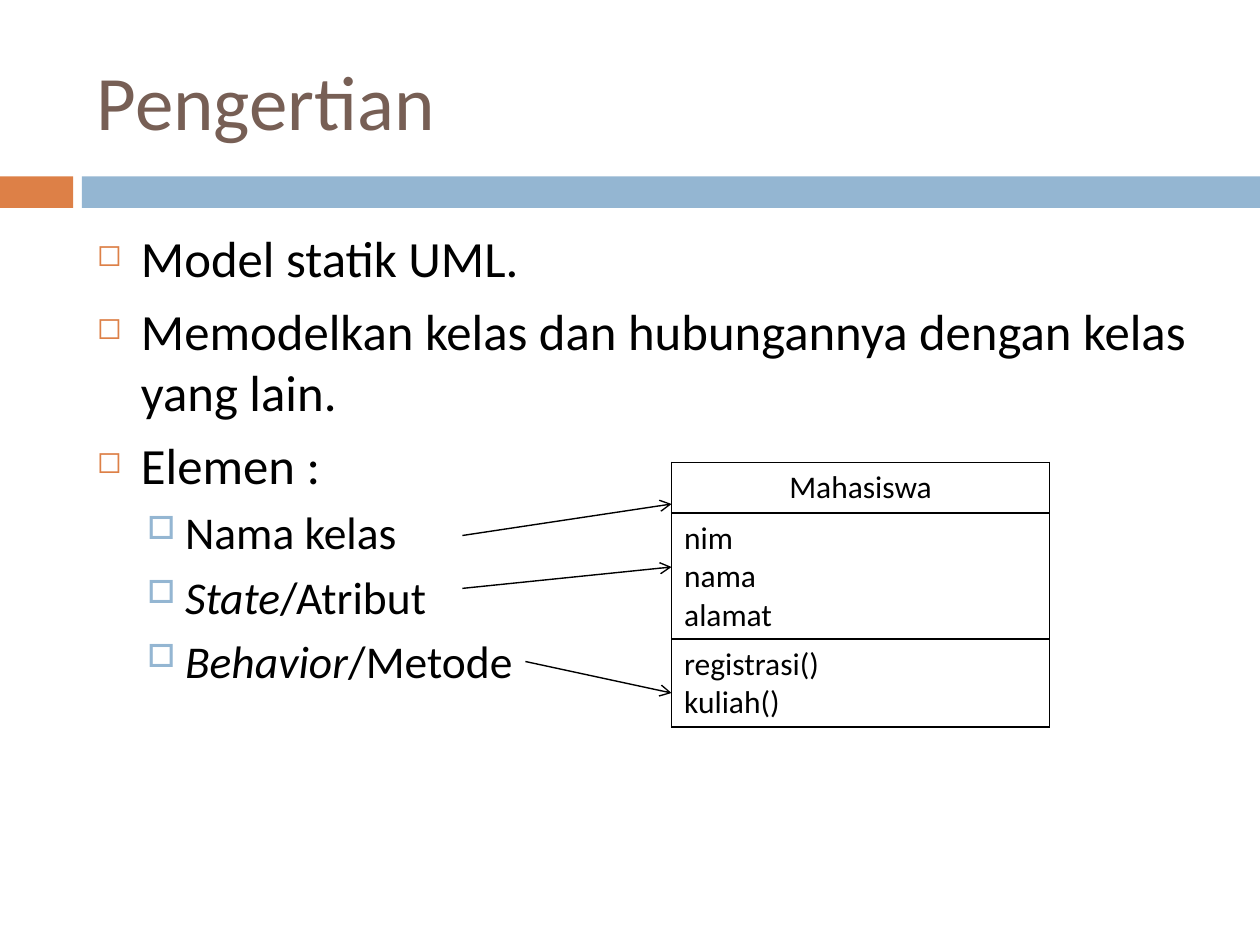
from lxml import etree
from pptx import Presentation
from pptx.dml.color import RGBColor
from pptx.enum.shapes import MSO_CONNECTOR, MSO_SHAPE
from pptx.enum.text import MSO_ANCHOR, PP_ALIGN
from pptx.oxml.ns import qn
from pptx.util import Inches, Pt

LINE, RECT = MSO_CONNECTOR.STRAIGHT, MSO_SHAPE.RECTANGLE
TOP, MIDDLE = MSO_ANCHOR.TOP, MSO_ANCHOR.MIDDLE
LEFT, CENTER = PP_ALIGN.LEFT, PP_ALIGN.CENTER
BLACK = RGBColor(0x00, 0x00, 0x00)
BROWN = RGBColor(0x77, 0x5F, 0x55)
ORANGE = RGBColor(0xDD, 0x80, 0x47)
BLUE = RGBColor(0x94, 0xB6, 0xD2)
FONT = "Calibri"

# Content: each point is (level, [(text, italic), ...])
TITLE = "Pengertian"
POINTS = [
    (0, [("Model statik UML.", False)]),
    (0, [("Memodelkan kelas dan hubungannya dengan kelas yang lain.", False)]),
    (0, [("Elemen :", False)]),
    (1, [("Nama kelas", False)]),
    (1, [("State", True), ("/Atribut", False)]),
    (1, [("Behavior", True), ("/Metode", False)]),
]
CLASS_BOX = [
    (["Mahasiswa"], CENTER),
    (["nim", "nama", "alamat"], LEFT),
    (["registrasi()", "kuliah()"], LEFT),
]
LEVELS = [
    dict(size=29, before=7, left=0.35, hang=0.35, mark="◻", tint=ORANGE, share=60),
    dict(size=26, before=5.5, left=0.7, hang=0.3, mark="□", tint=BLUE, share=70),
]

# Layout in inches
WIDE, HIGH = 10, 7.5
BAR_TOP, BAR_HIGH, BAR_SPLIT, BAR_GAP = 1.4, 0.25, 0.58, 0.07
TEXT_LEFT, TEXT_WIDE = 0.67, 8.92
BOX_LEFT, BOX_TOP, BOX_WIDE = 5.33, 3.67, 3
LINE_HIGH, CELL_PAD = 0.3, 0.1
# Arrows run to the left edge of the class box: (start x, start y, end y)
ARROWS = [(3.67, 4.25, 4), (3.67, 4.67, 4.5), (4.17, 5.25, 5.5)]


def add_node(parent, tag, **attrs):
    node = etree.SubElement(parent, qn(tag))
    for key, value in attrs.items():
        node.set(key, str(value))
    return node


def write(para, runs, size=18, color=BLACK, align=LEFT):
    para.alignment = align
    for text, slant in runs:
        run = para.add_run()
        run.text = text
        font = run.font
        font.name, font.size, font.italic = FONT, Pt(size), slant
        font.color.rgb = color


def get_para(frame, index):
    return frame.add_paragraph() if index else frame.paragraphs[0]


def add_frame(slide, top, height, anchor):
    box = slide.shapes.add_textbox(
        Inches(TEXT_LEFT), Inches(top), Inches(TEXT_WIDE), Inches(height))
    frame = box.text_frame
    frame.word_wrap = True
    frame.vertical_anchor = anchor
    return frame


def set_bullet(para, level):
    style = LEVELS[level]
    para.level = level
    para.space_before = Pt(style["before"])
    props = para._p.get_or_add_pPr()
    props.set("marL", str(Inches(style["left"])))
    props.set("indent", str(-Inches(style["hang"])))
    add_node(add_node(props, "a:buClr"), "a:srgbClr", val=style["tint"])
    add_node(props, "a:buSzPct", val=style["share"] * 1000)
    add_node(props, "a:buChar", char=style["mark"])


def add_bar(slide, left, right, color):
    bar = slide.shapes.add_shape(
        RECT, Inches(left), Inches(BAR_TOP), Inches(right - left), Inches(BAR_HIGH))
    bar.shadow.inherit = False
    bar.fill.solid()
    bar.fill.fore_color.rgb = color
    bar.line.fill.background()


def set_borders(cell):
    props = cell._tc.get_or_add_tcPr()
    for place, side in enumerate(("a:lnL", "a:lnR", "a:lnT", "a:lnB")):
        edge = etree.Element(qn(side), w=str(Pt(1)))
        add_node(add_node(edge, "a:solidFill"), "a:srgbClr", val=BLACK)
        props.insert(place, edge)


def add_class(slide):
    heights = [CELL_PAD + LINE_HIGH * len(lines) for lines, _ in CLASS_BOX]
    table = slide.shapes.add_table(
        len(CLASS_BOX), 1, Inches(BOX_LEFT), Inches(BOX_TOP),
        Inches(BOX_WIDE), Inches(sum(heights))).table
    table.first_row = table.horz_banding = False
    for row, (lines, align) in enumerate(CLASS_BOX):
        table.rows[row].height = Inches(heights[row])
        cell = table.cell(row, 0)
        cell.fill.background()
        set_borders(cell)
        for index, text in enumerate(lines):
            write(get_para(cell.text_frame, index), [(text, False)], align=align)


def add_arrow(slide, left, start, end):
    arrow = slide.shapes.add_connector(
        LINE, Inches(left), Inches(start), Inches(BOX_LEFT), Inches(end))
    arrow.line.color.rgb = BLACK
    arrow.line.width = Pt(0.79)
    add_node(arrow.line._get_or_add_ln(), "a:tailEnd", type="arrow")
    add_node(arrow._element.spPr, "a:effectLst")


def main():
    deck = Presentation()
    deck.slide_width, deck.slide_height = Inches(WIDE), Inches(HIGH)
    slide = deck.slides.add_slide(deck.slide_layouts[6])

    # Divider bars
    add_bar(slide, 0, BAR_SPLIT, ORANGE)
    add_bar(slide, BAR_SPLIT + BAR_GAP, WIDE, BLUE)

    # Title and bullet points
    title = add_frame(slide, 0.25, 1.08, MIDDLE)
    write(title.paragraphs[0], [(TITLE, False)], size=44, color=BROWN)
    body = add_frame(slide, 1.75, 4.92, TOP)
    for index, (level, runs) in enumerate(POINTS):
        para = get_para(body, index)
        write(para, runs, size=LEVELS[level]["size"])
        set_bullet(para, level)

    # Class box with the arrows that point at its parts
    add_class(slide)
    for left, start, end in ARROWS:
        add_arrow(slide, left, start, end)

    deck.save("out.pptx")


if __name__ == "__main__":
    main()
